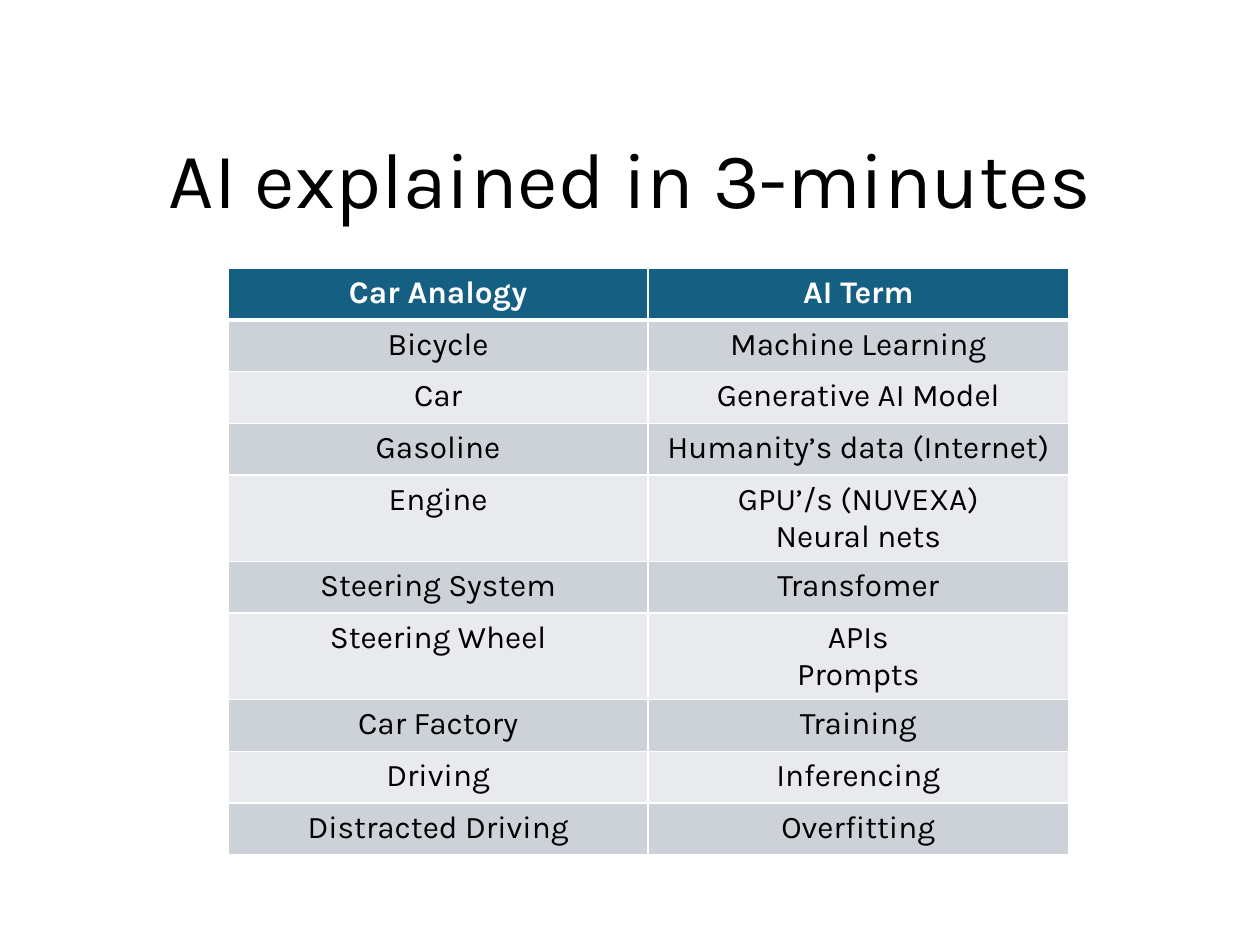
from lxml.etree import SubElement
from pptx import Presentation
from pptx.dml.color import RGBColor
from pptx.enum.text import MSO_ANCHOR, MSO_AUTO_SIZE, PP_ALIGN
from pptx.oxml.ns import qn
from pptx.util import Inches, Pt

COLORS = {"header": "156082", "odd": "CCD2D8", "even": "E8EAED",
          "text": "000000", "white": "FFFFFF"}
FONT = "Karla"
ROW_HEIGHT = 0.41

TERMS = [
    ("Car Analogy", "AI Term"),
    ("Bicycle", "Machine Learning"),
    ("Car", "Generative AI Model"),
    ("Gasoline", "Humanity’s data (Internet)"),
    ("Engine", "GPU’/s (NUVEXA)\nNeural nets"),
    ("Steering System", "Transfomer"),
    ("Steering Wheel", "APIs\nPrompts"),
    ("Car Factory", "Training"),
    ("Driving", "Inferencing"),
    ("Distracted Driving", "Overfitting"),
]


def rgb(name):
    return RGBColor.from_string(COLORS[name])


def write_text(tf, text, color, **font_format):
    """Fill a text frame with centred paragraphs, one per line of text."""
    tf.text = text
    for p in tf.paragraphs:
        p.alignment = PP_ALIGN.CENTER
        for r in p.runs:
            r.font.color.rgb = rgb(color)
            for name, value in {"name": FONT, **font_format}.items():
                setattr(r.font, name, value)


def set_borders(cell, widths):
    """Draw white cell borders; widths maps L, R, T and B to points."""
    tc_pr = cell._tc.get_or_add_tcPr()
    for side, width in widths.items():
        ln = SubElement(tc_pr, qn(f"a:ln{side}"), w=str(Pt(width)))
        fill = SubElement(ln, qn("a:solidFill"))
        SubElement(fill, qn("a:srgbClr"), val=COLORS["white"])


def add_title(s, text, left, top, width, height):
    title = s.shapes.title
    box = {"left": left, "top": top, "width": width, "height": height}
    for name, value in box.items():
        setattr(title, name, Inches(value))
    tf = title.text_frame
    tf_format = {"word_wrap": True, "auto_size": MSO_AUTO_SIZE.NONE,
                 "vertical_anchor": MSO_ANCHOR.BOTTOM}
    for name, value in tf_format.items():
        setattr(tf, name, value)
    write_text(tf, text, "text", size=Pt(45))
    tf.paragraphs[0].line_spacing = 0.9


def add_terms_table(s, rows, left, top, width):
    height = ROW_HEIGHT * len(rows)
    box = [Inches(v) for v in (left, top, width, height)]
    table = s.shapes.add_table(len(rows), len(rows[0]), *box).table
    for i, row in enumerate(rows):
        table.rows[i].height = Inches(ROW_HEIGHT)
        header = i == 0
        fill = "header" if header else "odd" if i % 2 else "even"
        widths = {"L": 1, "R": 1, "T": 3 if i == 1 else 1, "B": 3 if header else 1}
        for j, text in enumerate(row):
            cell = table.cell(i, j)
            set_borders(cell, widths)
            cell.fill.solid()
            cell.fill.fore_color.rgb = rgb(fill)
            write_text(cell.text_frame, text, "white" if header else "text",
                       size=Pt(18), bold=header)


def main():
    prs = Presentation()
    prs.slide_width, prs.slide_height = Inches(10), Inches(7.5)
    s = prs.slides.add_slide(prs.slide_layouts[5])
    add_title(s, "AI explained in 3-minutes", 0.15, -0.77, 9.7, 2.61)
    add_terms_table(s, TERMS, 1.81, 2.13, 6.67)
    prs.save("out.pptx")


if __name__ == "__main__":
    main()
